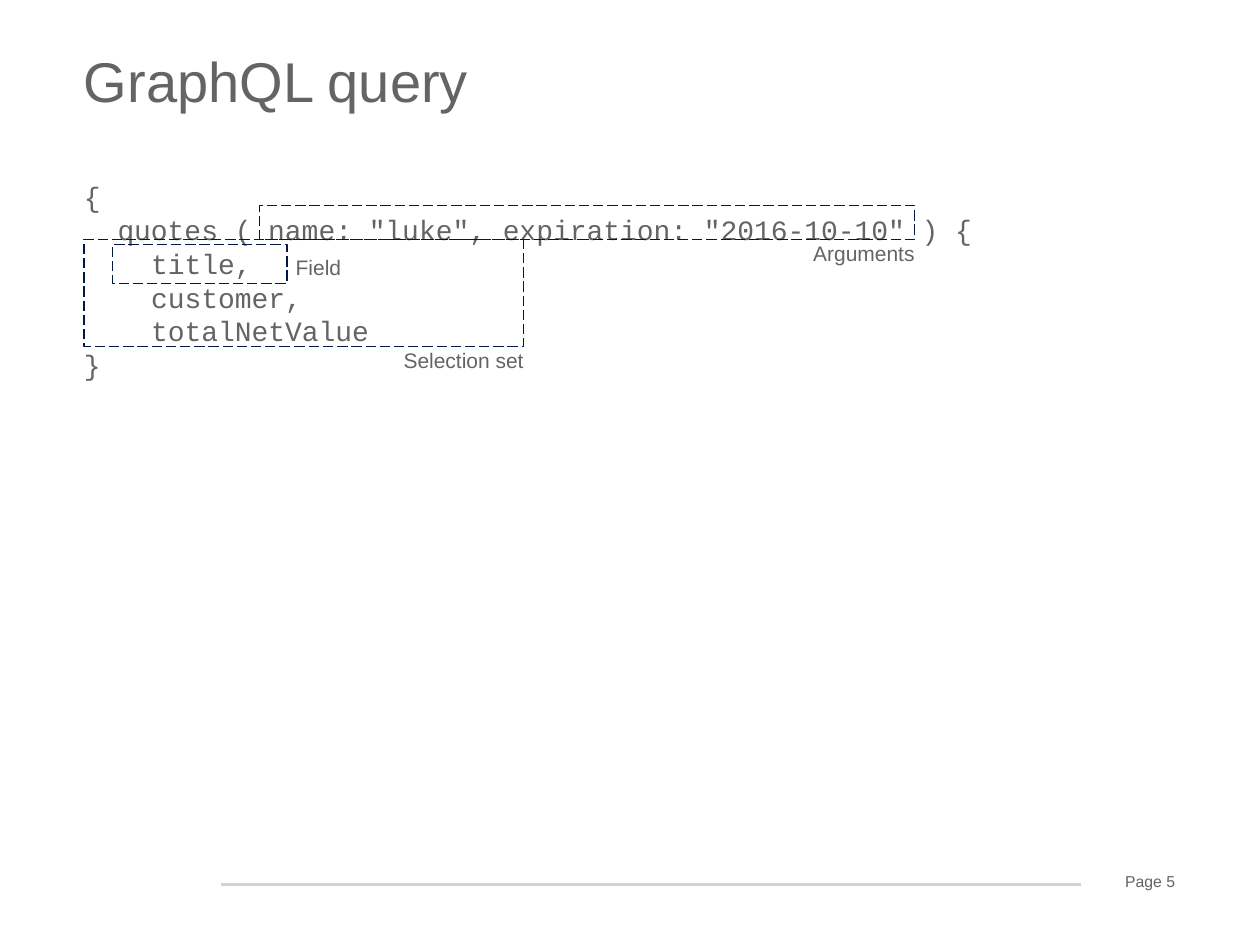
from lxml.etree import SubElement
from pptx import Presentation
from pptx.dml.color import RGBColor
from pptx.enum.dml import MSO_LINE
from pptx.enum.shapes import MSO_CONNECTOR, MSO_SHAPE
from pptx.enum.text import MSO_ANCHOR, PP_ALIGN
from pptx.oxml.ns import qn
from pptx.util import Pt

GREY = RGBColor(0x64, 0x64, 0x64)
RULE_GREY = RGBColor(0xD2, 0xD2, 0xD2)
NAVY = RGBColor(0x00, 0x18, 0x43)

TITLE = "GraphQL query"
PAGE = "Page 5"
QUERY = [
    (0, "{"),
    (1, 'quotes ( name: "luke", expiration: "2016-10-10" ) {'),
    (2, "title,"),
    (2, "customer,"),
    (2, "totalNetValue"),
    (0, "}"),
]
CALLOUTS = [
    ("Selection set", (48, 136.8, 251.3, 61.2), "below"),
    ("Arguments", (148.3, 117.4, 374.4, 19.4), "below"),
    ("Field", (64.5, 139.7, 99.5, 22.4), "beside"),
]

LEFT, WIDTH = 48, 623
CODE_SIZE = 16
LINE_PITCH = 19.2
INDENT = 2 * 0.6 * CODE_SIZE
LABEL_HEIGHT = 14.4
LABEL_GAP = 5

prs = Presentation()
prs.slide_width, prs.slide_height = Pt(720), Pt(540)
slide = prs.slides.add_slide(prs.slide_layouts[6])


def add_text(lines, box, size, font="Arial", align=PP_ALIGN.LEFT,
             anchor=MSO_ANCHOR.TOP, pitch=None):
    frame = slide.shapes.add_textbox(*map(Pt, box)).text_frame
    frame.word_wrap = True
    frame.vertical_anchor = anchor
    frame.margin_left = frame.margin_right = 0
    frame.margin_top = frame.margin_bottom = 0
    for number, (level, words) in enumerate(lines):
        paragraph = frame.add_paragraph() if number else frame.paragraphs[0]
        paragraph.alignment = align
        if pitch:
            paragraph.line_spacing = Pt(pitch)
        if level:
            paragraph._p.get_or_add_pPr().set("marL", str(Pt(level * INDENT)))
        run = paragraph.add_run()
        run.text = words
        run.font.name = font
        run.font.size = Pt(size)
        run.font.color.rgb = GREY


def add_callout(label, box, side):
    outline = slide.shapes.add_shape(MSO_SHAPE.RECTANGLE, *map(Pt, box))
    outline.shadow.inherit = False
    outline.fill.background()
    outline.line.color.rgb = NAVY
    outline.line.width = Pt(0.75)
    outline.line.dash_style = MSO_LINE.LONG_DASH
    left, top, width, height = box
    if side == "below":
        place = (left, top + height + 0.5, width, LABEL_HEIGHT)
        align = PP_ALIGN.RIGHT
    else:
        middle = top + (height - LABEL_HEIGHT) / 2
        place = (left + width + LABEL_GAP, middle + 1.5, 30, LABEL_HEIGHT)
        align = PP_ALIGN.LEFT
    add_text([(0, label)], place, 12, align=align)


footer_rule = slide.shapes.add_connector(
    MSO_CONNECTOR.STRAIGHT, Pt(126), Pt(505.4), Pt(617.8), Pt(505.4))
footer_rule.line.color.rgb = RULE_GREY
footer_rule.line.width = Pt(1.5)
SubElement(footer_rule._element.spPr, qn("a:effectLst"))

add_text(QUERY, (LEFT, 102.5, WIDTH, 384), CODE_SIZE, "Courier New",
         pitch=LINE_PITCH)
add_text([(0, PAGE)], (555.5, 492.5, 116, 16.5), 9, align=PP_ALIGN.RIGHT,
         anchor=MSO_ANCHOR.BOTTOM)
add_text([(0, TITLE)], (LEFT, 28.8, WIDTH, 72.7), 32, pitch=36)

for label, box, side in CALLOUTS:
    add_callout(label, box, side)

prs.save("out.pptx")
